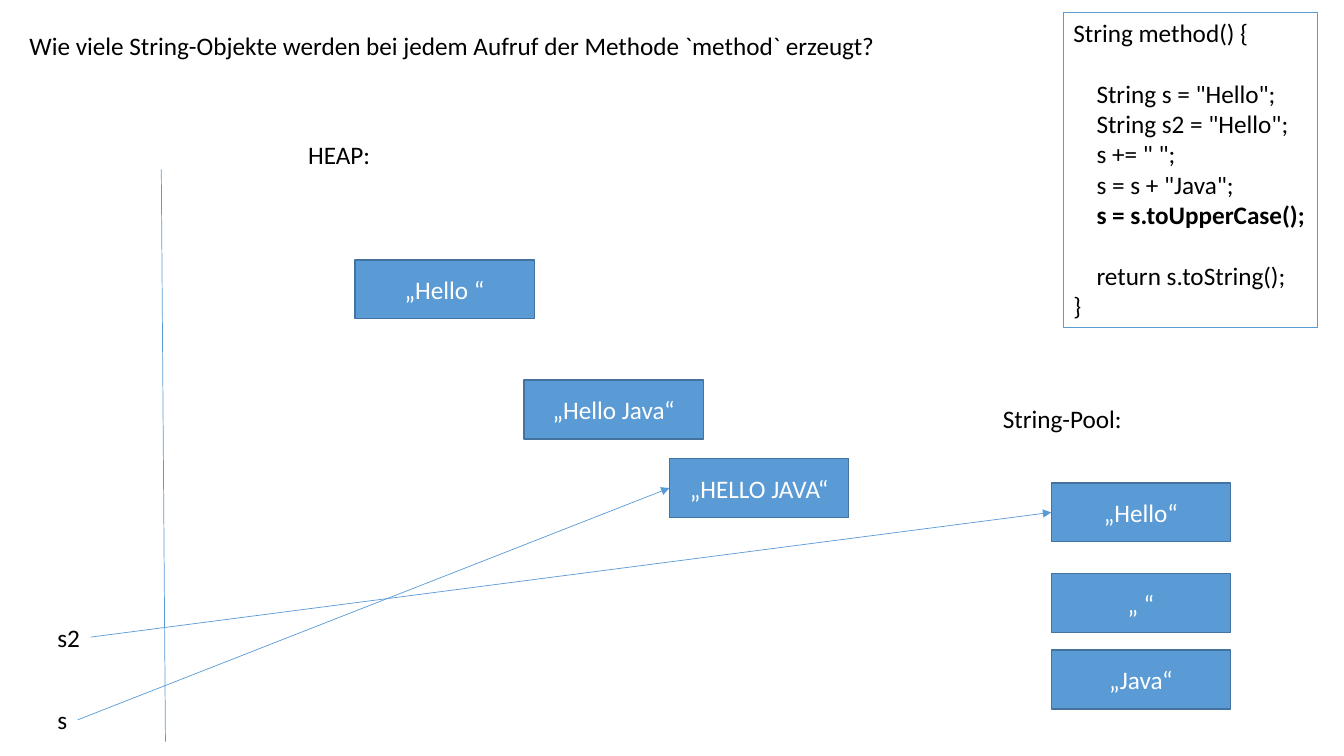
from lxml import etree
from pptx import Presentation
from pptx.dml.color import RGBColor
from pptx.enum.shapes import MSO_CONNECTOR, MSO_SHAPE
from pptx.enum.text import MSO_ANCHOR, MSO_AUTO_SIZE, PP_ALIGN
from pptx.oxml.ns import qn
from pptx.util import Emu, Inches, Pt

RECTANGLE = MSO_SHAPE.RECTANGLE
STRAIGHT = MSO_CONNECTOR.STRAIGHT
TOP, MIDDLE = MSO_ANCHOR.TOP, MSO_ANCHOR.MIDDLE
LEFT, CENTER = PP_ALIGN.LEFT, PP_ALIGN.CENTER
NO_FIT = MSO_AUTO_SIZE.NONE
LEFT_SITE, RIGHT_SITE = 1, 3

COLORS = {"blue": "5B9BD5", "edge": "43739E", "black": "000000", "white": "FFFFFF"}
CELL = 381000  # 32 columns by 18 rows
LABEL_ROWS = 0.96
STRING_SIZE = (4.27, 1.4)
CODE_INDENT = Inches(0.23)
BLANK_LINE = Pt(22)


def cells(*counts):
    return [Emu(round(count * CELL)) for count in counts]


def color(name):
    return RGBColor.from_string(COLORS[name])


def write(para, text, ink="black", bold=False, align=LEFT, indent=0, before=0):
    para.alignment = align
    para.space_before = before
    para._p.get_or_add_pPr().set("marL", str(indent))
    span = para.add_run()
    span.text = text
    span.font.name = "Calibri"
    span.font.size = Pt(18)
    span.font.bold = bold
    span.font.color.rgb = color(ink)


class Page:
    def __init__(self, deck):
        self.slide = deck.slides.add_slide(deck.slide_layouts[5])
        self.shapes = self.slide.shapes

    def frame(self, shape, anchor=TOP, wrap=False):
        frame = shape.text_frame
        frame.auto_size = NO_FIT
        frame.word_wrap = wrap
        frame.vertical_anchor = anchor
        return frame

    def title(self, text, column, row, width):
        box = self.shapes.title
        box.left, box.top, box.width, box.height = cells(column, row, width, LABEL_ROWS)
        write(self.frame(box).paragraphs[0], text)

    def label(self, text, column, row, width):
        box = self.shapes.add_textbox(*cells(column, row, width, LABEL_ROWS))
        write(self.frame(box).paragraphs[0], text)
        return box

    def rectangle(self, column, row, width, height, edge, weight, fill=None):
        box = self.shapes.add_shape(RECTANGLE, *cells(column, row, width, height))
        box.shadow.inherit = False
        box.line.color.rgb = color(edge)
        box.line.width = Pt(weight)
        if fill:
            box.fill.solid()
            box.fill.fore_color.rgb = color(fill)
        else:
            box.fill.background()
        return box

    def string(self, text, column, row):
        box = self.rectangle(column, row, *STRING_SIZE, "edge", 1, "blue")
        frame = self.frame(box, MIDDLE, wrap=True)
        write(frame.paragraphs[0], text, ink="white", align=CENTER)
        return box

    def code(self, lines, column, row, width, height):
        frame = self.frame(self.rectangle(column, row, width, height, "blue", 0.75))
        for index, (text, style) in enumerate(lines):
            para = frame.add_paragraph() if index else frame.paragraphs[0]
            write(para, text, **style)

    def line(self, start=(0, 0), end=(0, 0)):
        line = self.shapes.add_connector(STRAIGHT, *cells(*start, *end))
        line.line.color.rgb = color("blue")
        line.line.width = Pt(0.5)
        etree.SubElement(line._element.spPr, qn("a:effectLst"))
        return line

    def reference(self, variable, target):
        arrow = self.line()
        arrow.begin_connect(variable, RIGHT_SITE)
        arrow.end_connect(target, LEFT_SITE)
        stroke = arrow._element.spPr.find(qn("a:ln"))
        etree.SubElement(stroke, qn("a:tailEnd"), type="triangle")


deck = Presentation()
deck.slide_width, deck.slide_height = cells(32, 18)
page = Page(deck)

# Question and code
page.title("Wie viele String-Objekte werden bei jedem Aufruf der Methode `method` erzeugt?",
           0.46, 0.6, 20.86)
inner = {"indent": CODE_INDENT}
after_gap = {**inner, "before": BLANK_LINE}
page.code([
    ("String method() {", {}),
    ('String s = "Hello";', after_gap),
    ('String s2 = "Hello";', inner),
    ('s += " ";', inner),
    ('s = s + "Java";', inner),
    ("s = s.toUpperCase();", {**inner, "bold": True}),
    ("return s.toString();", after_gap),
    ("}", {}),
], 25.32, 0.29, 6.05, 7.51)

# Border between variables and heap
page.line((3.84, 4.03), (3.94, 17.66))

# Heap
page.label("HEAP:", 7.1, 3.19, 1.97)
page.string("„Hello “", 8.45, 6.19)
page.string("„Hello Java“", 12.48, 9.05)
upper = page.string("„HELLO JAVA“", 15.94, 10.92)

# String pool
page.label("String-Pool:", 23.64, 9.48, 3.34)
hello, space, java = [page.string(text, 25.03, row) for text, row in
                      (("„Hello“", 11.5), ("„ “", 13.66), ("„Java“", 15.48))]

# Variables and what they refer to
page.reference(page.label("s2", 1.13, 14.69, 1.03), hello)
page.reference(page.label("s", 1.13, 16.66, 0.72), upper)

deck.save("out.pptx")
